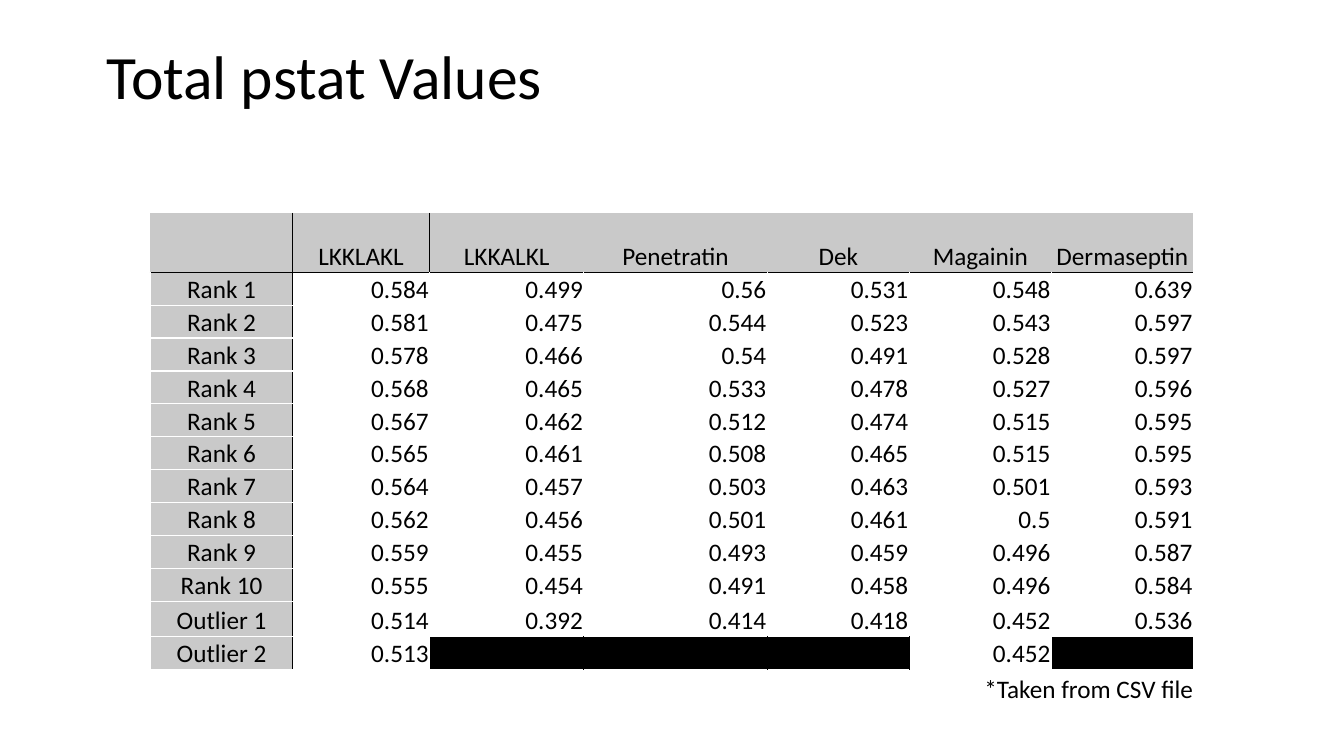
import pptx
import pptx.dml.color
import pptx.enum.text
import pptx.oxml
import pptx.oxml.ns
import pptx.util

Pt = pptx.util.Pt
RGBColor = pptx.dml.color.RGBColor
ALIGN = pptx.enum.text.PP_ALIGN
ANCHOR = pptx.enum.text.MSO_ANCHOR

BLACK = RGBColor(0x00, 0x00, 0x00)
WHITE = RGBColor(0xFF, 0xFF, 0xFF)
GREY = RGBColor(0xC9, 0xC9, 0xC9)
FONT = "Calibri"
PLAIN_STYLE = "{2D5ABB26-0587-4C30-8999-92F81FD0307C}"

PEPTIDES = ["LKKLAKL", "LKKALKL", "Penetratin", "Dek", "Magainin", "Dermaseptin"]
RANKS = [
    (0.584, 0.499, 0.56, 0.531, 0.548, 0.639),
    (0.581, 0.475, 0.544, 0.523, 0.543, 0.597),
    (0.578, 0.466, 0.54, 0.491, 0.528, 0.597),
    (0.568, 0.465, 0.533, 0.478, 0.527, 0.596),
    (0.567, 0.462, 0.512, 0.474, 0.515, 0.595),
    (0.565, 0.461, 0.508, 0.465, 0.515, 0.595),
    (0.564, 0.457, 0.503, 0.463, 0.501, 0.593),
    (0.562, 0.456, 0.501, 0.461, 0.5, 0.591),
    (0.559, 0.455, 0.493, 0.459, 0.496, 0.587),
    (0.555, 0.454, 0.491, 0.458, 0.496, 0.584),
]
OUTLIERS = [
    (0.514, 0.392, 0.414, 0.418, 0.452, 0.536),
    (0.513, None, None, None, 0.452, None),
]
COL_WIDTHS = [101.5, 97.9, 110.2, 131, 101.5, 101.5, 101.5]
ROW_HEIGHTS = [42.5] + [23.5] * 10 + [25.3, 23.5]


def style_paragraph(p, size, align):
    p.alignment = align
    p.font.size = Pt(size)
    p.font.name = FONT
    p.font.color.rgb = BLACK


def add_text(s, box, text, size, line_spacing=1.0):
    tf = s.shapes.add_textbox(*map(Pt, box)).text_frame
    tf.word_wrap = True
    p = tf.paragraphs[0]
    p.text = text
    p.line_spacing = line_spacing
    style_paragraph(p, size, ALIGN.LEFT)


def set_borders(cell, colors):
    """Draw 1 pt borders; colors maps the sides L, R, T, B, in that order."""
    tc_pr = cell._tc.get_or_add_tcPr()
    for i, (side, color) in enumerate(colors.items()):
        tc_pr.insert(i, pptx.oxml.parse_xml(
            f'<a:ln{side} {pptx.oxml.ns.nsdecls("a")} w="12700"><a:solidFill>'
            f'<a:srgbClr val="{color}"/></a:solidFill></a:ln{side}>'))


def border_colors(rows, i, j):
    # Black rules follow the header row and label column
    def vertical(k):
        inner_black = 0 < k < len(rows[i]) and rows[i][k - 1] is None
        return BLACK if k == 1 or inner_black else WHITE

    def horizontal(k):
        return BLACK if k == 1 else WHITE

    colors = {"L": vertical(j), "R": vertical(j + 1),
              "T": horizontal(i), "B": horizontal(i + 1)}
    if i == 0:  # the header band has no white rules
        colors = {side: c for side, c in colors.items() if c == BLACK}
    return colors


def add_values_table(s, left, top):
    rows = [["", *PEPTIDES]]
    for label, group in (("Rank", RANKS), ("Outlier", OUTLIERS)):
        rows += [[f"{label} {n}", *values] for n, values in enumerate(group, 1)]

    frame = s.shapes.add_table(len(rows), len(COL_WIDTHS), Pt(left), Pt(top),
                               Pt(sum(COL_WIDTHS)), Pt(sum(ROW_HEIGHTS)))
    table = frame.table
    table.horz_banding = False
    table._tbl.tblPr.find(pptx.oxml.ns.qn("a:tableStyleId")).text = PLAIN_STYLE
    for column, width in zip(table.columns, COL_WIDTHS):
        column.width = Pt(width)
    for row, height in zip(table.rows, ROW_HEIGHTS):
        row.height = Pt(height)

    for i, row in enumerate(rows):
        for j, value in enumerate(row):
            cell = table.cell(i, j)
            heading = i == 0 or j == 0
            cell.margin_left = cell.margin_right = cell.margin_top = Pt(0.75)
            cell.margin_bottom = 0
            cell.vertical_anchor = ANCHOR.BOTTOM
            cell.fill.solid()
            cell.fill.fore_color.rgb = (
                GREY if heading else BLACK if value is None else WHITE)
            set_borders(cell, border_colors(rows, i, j))
            p = cell.text_frame.paragraphs[0]
            if value not in (None, ""):
                p.text = str(value)
            style_paragraph(p, 18, ALIGN.CENTER if heading else ALIGN.RIGHT)


def main():
    prs = pptx.Presentation()
    prs.slide_width, prs.slide_height = Pt(960), Pt(540)
    s = prs.slides.add_slide(prs.slide_layouts[6])

    # Title
    add_text(s, (69, 29.5, 828, 104.4), "Total pstat Values", 44, 0.9)
    # Ranked values by peptide
    add_values_table(s, 107.5, 152)
    # Footnote
    add_text(s, (696, 477.5, 240, 29), "*Taken from CSV file", 18)

    prs.save("out.pptx")


if __name__ == "__main__":
    main()
